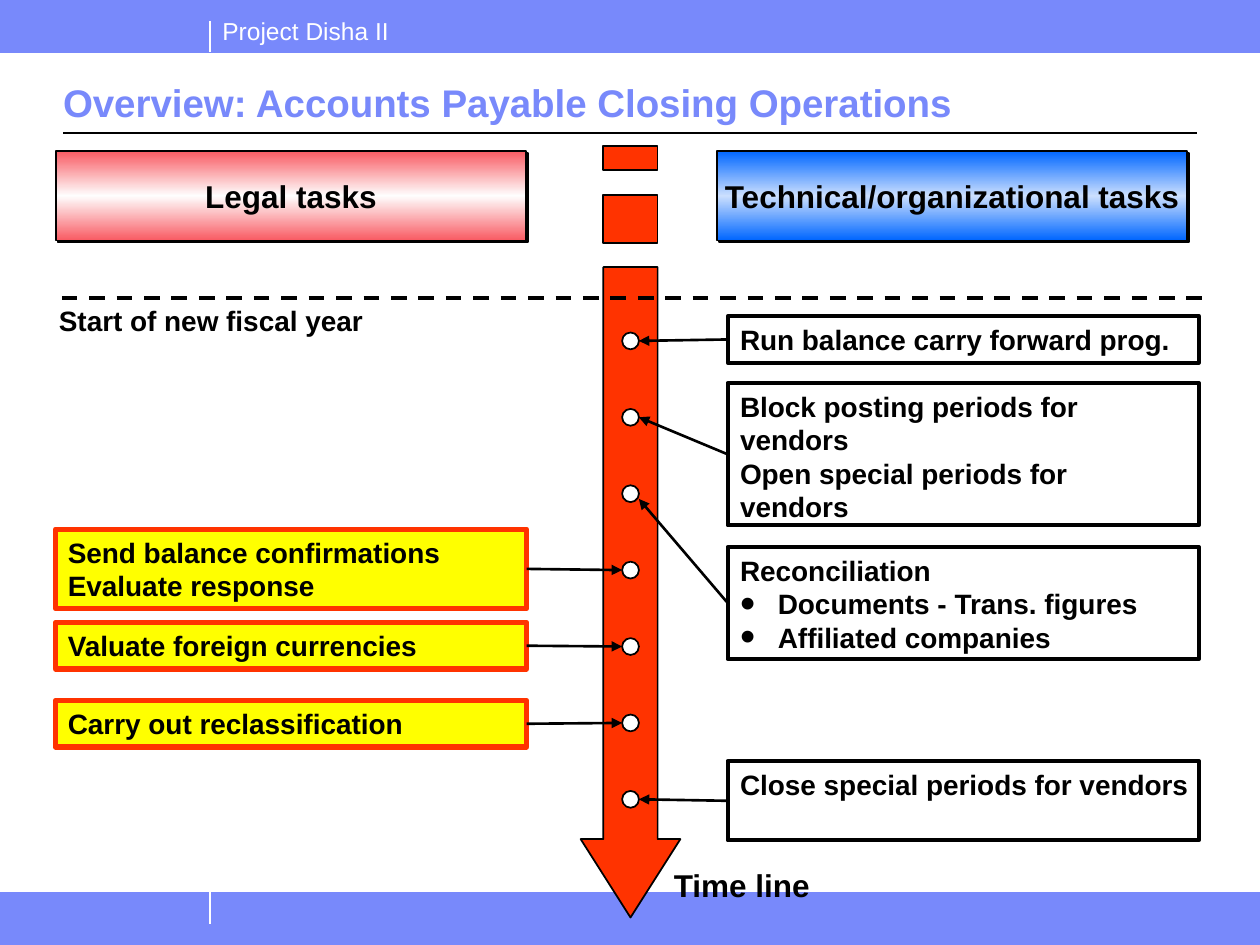
from lxml import etree
from copy import deepcopy
from pptx import Presentation
from pptx.dml.color import RGBColor
from pptx.enum import dml, shapes, text
from pptx.oxml import ns
from pptx.util import Pt

BLACK = RGBColor(0, 0, 0)
WHITE = RGBColor(255, 255, 255)
PERIWINKLE = RGBColor(0x78, 0x89, 0xFB)
ORANGE = RGBColor(0xFF, 0x33, 0x00)
YELLOW = RGBColor(0xFF, 0xFF, 0x00)
CORAL = RGBColor(0xF9, 0x5B, 0x63)
NEAR_WHITE = RGBColor(0xFE, 0xFE, 0xFE)
BLUE = RGBColor(0x00, 0x66, 0xFF)
PALE_BLUE = RGBColor(0xCB, 0xDF, 0xFE)

FONT = "Arial"
AXIS_X = 360.3
DOT_SIZE = 9.6
FIRST_DOT_Y = 194.8
DOT_STEP = 43.66
DOT_COUNT = 7
BOX_WIDTH = 269.3
LEFT_X = 31.7
RIGHT_X = 415.8

LEGAL_TASKS = [
    (302.4, 45.4, ["Send balance confirmations", "Evaluate response"], 3),
    (355.7, 26.6, ["Valuate foreign currencies"], 4),
    (400.3, 26.6, ["Carry out reclassification"], 5),
]
TECHNICAL_TASKS = [
    (180.7, 26.6, ["Run balance carry forward prog."], 0, 0),
    (218.9, 81.4, ["Block posting periods for", "vendors",
                   "Open special periods for", "vendors"], 1, 0),
    (312.5, 64.1, ["Reconciliation", "• Documents - Trans. figures",
                   "• Affiliated companies"], 2, 3),
    (434.9, 45.4, ["Close special periods for vendors"], 6, 0),
]


def child(parent, tag, **attributes):
    return etree.SubElement(parent, ns.qn(tag), attributes)


def add_bullet(para):
    properties = para._p.get_or_add_pPr()
    properties.set("marL", str(Pt(21.6)))
    properties.set("indent", str(-Pt(21.6)))
    color = child(properties, "a:buClr")
    child(color, "a:srgbClr", val=str(BLACK))
    child(properties, "a:buSzPct", val="155000")
    child(properties, "a:buFont", typeface=FONT)
    child(properties, "a:buChar", char="•")


def write(box, lines, size, color=BLACK, bold=True, align=text.PP_ALIGN.LEFT,
          anchor=text.MSO_ANCHOR.TOP, insets=(7.2, 3.6, 0, 3.6)):
    frame = box.text_frame
    frame.text = "\n".join(line.removeprefix("• ") for line in lines)
    frame.word_wrap = True
    frame.auto_size = text.MSO_AUTO_SIZE.NONE
    frame.vertical_anchor = anchor
    (frame.margin_left, frame.margin_top,
     frame.margin_right, frame.margin_bottom) = map(Pt, insets)
    for para, line in zip(frame.paragraphs, lines):
        para.alignment = align
        if line.startswith("• "):
            add_bullet(para)
        for span in para.runs:
            span.font.name = FONT
            span.font.size = Pt(size)
            span.font.bold = bold
            span.font.color.rgb = color


def add_label(page, x, y, width, height, label, size, **style):
    box = page.shapes.add_textbox(Pt(x), Pt(y), Pt(width), Pt(height))
    write(box, [label], size, **style)


def paint(shape, fill, line, weight):
    shape.shadow.inherit = False
    if fill is None:
        shape.fill.background()
    else:
        shape.fill.solid()
        shape.fill.fore_color.rgb = fill
    shape.line.color.rgb = line
    shape.line.width = Pt(weight)


def add_preset(page, kind, x, y, width, height, fill, line, weight):
    shape = page.shapes.add_shape(kind, Pt(x), Pt(y), Pt(width), Pt(height))
    paint(shape, fill, line, weight)
    return shape


def add_rectangle(page, *geometry_and_paint):
    return add_preset(page, shapes.MSO_SHAPE.RECTANGLE, *geometry_and_paint)


def add_line(page, start, end, color, weight, dash=None, arrow=False):
    line = page.shapes.add_connector(
        shapes.MSO_CONNECTOR.STRAIGHT, *map(Pt, (*start, *end)))
    line.line.color.rgb = color
    line.line.width = Pt(weight)
    if dash:
        line.line.dash_style = dash
    if arrow:
        child(line.line._get_or_add_ln(), "a:tailEnd", type="triangle")
    child(line._element.spPr, "a:effectLst")
    return line


def add_heading(page, x, label, edge, middle):
    box = add_rectangle(page, x, 86.4, 268.8, 51, edge, BLACK, 1)
    box.fill.gradient()
    box.fill.gradient_angle = 90
    stops = box.fill._fill._gradFill.gsLst
    stops.insert(1, deepcopy(stops[0]))
    for stop, color, position in zip(
            box.fill.gradient_stops, (edge, middle, edge), (0, 0.5, 1)):
        stop.color.rgb = color
        stop.position = position
    effects = box._element.spPr.find(ns.qn("a:effectLst"))
    shadow = child(effects, "a:outerShdw", dist=str(Pt(1.4)),
                   dir="2700000", algn="ctr", rotWithShape="0")
    child(shadow, "a:srgbClr", val=str(BLACK))
    write(box, [label], 18, align=text.PP_ALIGN.CENTER,
          anchor=text.MSO_ANCHOR.MIDDLE, insets=(0, 0, 0, 0))


def add_time_arrow(page):
    left, right = AXIS_X - 15.5, AXIS_X + 15.5
    shaft = [(right, 152.6), (right, 479.5), (AXIS_X + 28.5, 479.5),
             (AXIS_X, 524.3), (AXIS_X - 28.5, 479.5), (left, 479.5),
             (left, 152.6)]
    bands = [[(right, top), (right, bottom), (left, bottom), (left, top)]
             for top, bottom in ((83.6, 97.3), (111.4, 138.9))]
    builder = page.shapes.build_freeform(*map(Pt, shaft[0]))
    for number, outline in enumerate([shaft, *bands]):
        points = [(Pt(x), Pt(y)) for x, y in outline]
        if number:
            builder.move_to(*points[0])
        builder.add_line_segments(points[1:], close=True)
    paint(builder.convert_to_shape(), ORANGE, BLACK, 1)


def dot_y(number):
    return FIRST_DOT_Y + number * DOT_STEP


def add_dots(page):
    for number in range(DOT_COUNT):
        add_preset(page, shapes.MSO_SHAPE.OVAL, AXIS_X - DOT_SIZE / 2,
                   dot_y(number) - DOT_SIZE / 2, DOT_SIZE, DOT_SIZE,
                   WHITE, BLACK, 1)


def add_task(page, x, top, height, lines, dot, paints, side, drop=0):
    box = add_rectangle(page, x, top, BOX_WIDTH, height, *paints)
    write(box, lines, 16)
    direction = 1 if side == 1 else -1
    end = (AXIS_X + direction * DOT_SIZE / 2, dot_y(dot) + drop)
    line = add_line(page, (x, top), end, BLACK, 1.5, arrow=True)
    line.begin_connect(box, side)


def add_frame(page):
    for y in (510, 0):
        add_rectangle(page, 0, y, 720, 30, PERIWINKLE, PERIWINKLE, 0.75)
    add_label(page, 120, 5.8, 110, 24.5, "Project Disha II", 14,
              color=WHITE, bold=False)
    for y in (12, 510):
        add_line(page, (120, y), (120, y + 18), WHITE, 0.75)
    add_line(page, (36, 76), (684, 76), BLACK, 0.75)


def add_title(page):
    title = page.shapes.title
    title.left, title.top, title.width, title.height = map(
        Pt, (36, 38.9, 648, 36))
    write(title, ["Overview: Accounts Payable Closing Operations"], 22,
          color=PERIWINKLE, anchor=text.MSO_ANCHOR.BOTTOM,
          insets=(0, 3.6, 0, 3.6))


def main():
    deck = Presentation()
    deck.slide_width, deck.slide_height = Pt(720), Pt(540)
    page = deck.slides.add_slide(deck.slide_layouts[5])
    add_frame(page)
    add_title(page)
    add_time_arrow(page)
    add_heading(page, 31.9, "Legal tasks", CORAL, NEAR_WHITE)
    add_heading(page, 409.7, "Technical/organizational tasks", BLUE, PALE_BLUE)
    add_line(page, (35.3, 170.4), (691, 170.4), BLACK, 2.25,
             dash=dml.MSO_LINE.DASH)
    add_label(page, 26.6, 170, 188, 26.6, "Start of new fiscal year", 16)
    add_dots(page)
    for task in LEGAL_TASKS:
        add_task(page, LEFT_X, *task, (YELLOW, ORANGE, 3), 3)
    for *task, drop in TECHNICAL_TASKS:
        add_task(page, RIGHT_X, *task, (None, BLACK, 2.25), 1, drop)
    add_label(page, 378, 491.2, 92, 28.8, "Time line", 18)
    deck.save("out.pptx")


if __name__ == "__main__":
    main()
